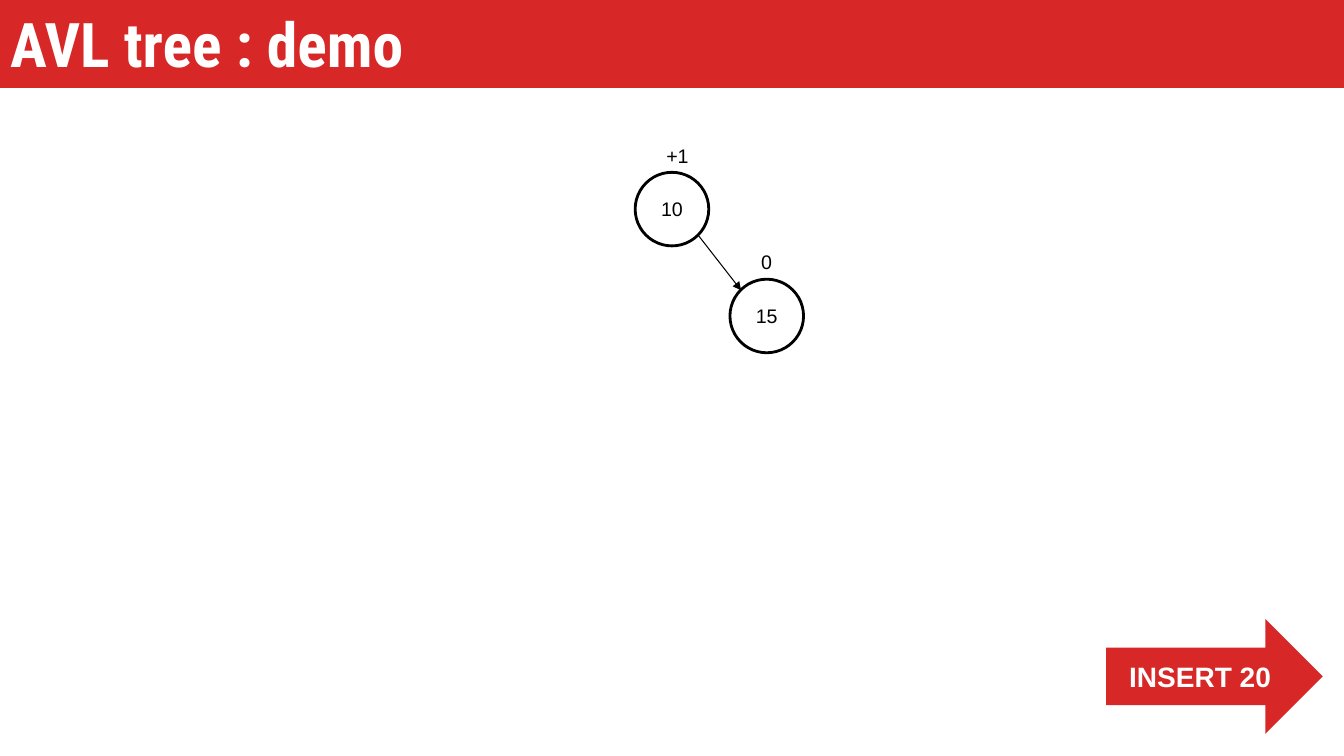
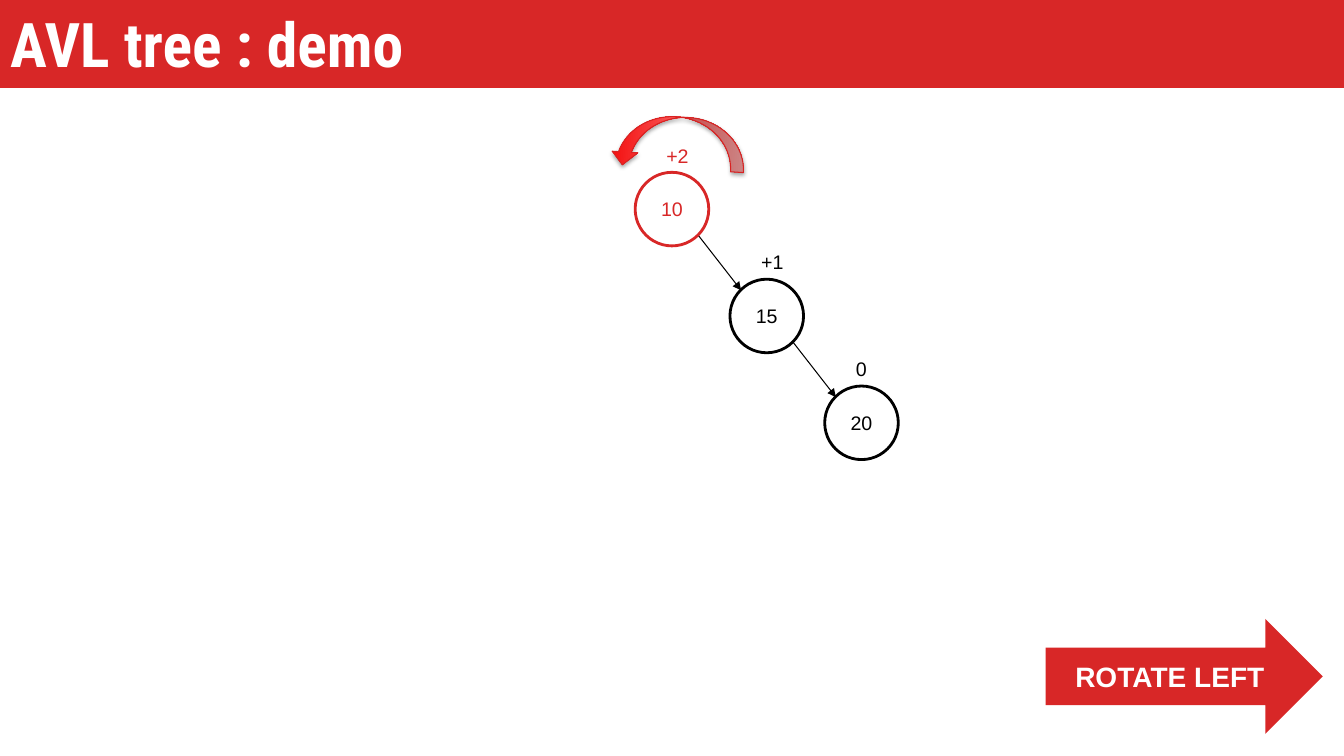
from pptx import Presentation
from pptx import util as u
from pptx.dml.color import RGBColor
from pptx.enum import shapes, text
from pptx.oxml import parse_xml
from pptx.oxml.ns import nsdecls, qn

Inches, Pt = u.Inches, u.Pt
SHAPE = shapes.MSO_SHAPE
HUES = {name: RGBColor.from_string(code) for name, code in {
    "red": "D82727", "black": "000000", "white": "FFFFFF",
    "rim": "D82222", "deep": "F30C0C", "pale": "FFABAB"}.items()}

# Tree grid: each node sits one step right of and below its parent
LEFT, TOP, SIZE = 6.3, 1.71, 0.73
STEP_X, STEP_Y = 0.94, 1.06
NEAR, FAR = 0.11, 0.63
RIGHT = 13.12

# Per slide: nodes as (key, balance, colour), next action, arrow width
STEPS = [
    ([("10", "+1", "black"), ("15", "0", "black")], "INSERT 20", 2.15),
    ([("10", "+2", "red"), ("15", "+1", "black"), ("20", "0", "black")],
     "ROTATE LEFT", 2.75),
]


def write(shape, words, size, hue, face="Arial", bold=False, align="CENTER"):
    frame = shape.text_frame
    frame.text = words
    frame.vertical_anchor = text.MSO_ANCHOR.MIDDLE
    para = frame.paragraphs[0]
    para.alignment = getattr(text.PP_ALIGN, align)
    font = para.runs[0].font
    font.name, font.size, font.bold = face, Pt(size), bold
    font.color.rgb = HUES[hue]


def paint(shape, fill, line=None, width=2):
    shape.fill.solid()
    shape.fill.fore_color.rgb = HUES[fill]
    if line:
        shape.line.color.rgb = HUES[line]
        shape.line.width = Pt(width)
    else:
        shape.line.fill.background()


deck = Presentation()
deck.slide_width, deck.slide_height = Inches(13.33), Inches(7.5)

for nodes, action, wide in STEPS:
    slide = deck.slides.add_slide(deck.slide_layouts[5])
    parts = slide.shapes

    # Title band
    title = parts.title
    title.left, title.top = Inches(0), Inches(0)
    title.width, title.height = deck.slide_width, Inches(0.86)
    paint(title, "red", "red")
    write(title, "AVL tree : demo", 44, "white", "Roboto Condensed", True, "LEFT")
    title.text_frame.auto_size = text.MSO_AUTO_SIZE.NONE

    # Next action
    arrow = parts.add_shape(SHAPE.RIGHT_ARROW, Inches(RIGHT - wide),
                            Inches(6.14), Inches(wide), Inches(1.14))
    arrow.shadow.inherit = False
    paint(arrow, "red")
    write(arrow, action, 20, "white", bold=True)

    # Nodes with balance factors
    for i, (key, factor, hue) in enumerate(nodes):
        x, y = LEFT + i * STEP_X, TOP + i * STEP_Y
        node = parts.add_shape(SHAPE.OVAL, Inches(x), Inches(y),
                               Inches(SIZE), Inches(SIZE))
        node.shadow.inherit = False
        paint(node, "white", hue)
        write(node, key, 14, hue)

        label = parts.add_textbox(Inches(x + 0.21), Inches(y - 0.34),
                                  Inches(0.2 + 0.11 * len(factor)), Inches(0.34))
        write(label, factor, 14, hue, align="LEFT")
        label.text_frame.word_wrap = False

        # Edge from the parent
        if i:
            edge = parts.add_connector(
                shapes.MSO_CONNECTOR.STRAIGHT,
                Inches(x - STEP_X + FAR), Inches(y - STEP_Y + FAR),
                Inches(x + NEAR), Inches(y + NEAR))
            edge.line.color.rgb = HUES["black"]
            edge.line.width = Pt(0.75)
            edge.line._get_or_add_ln().append(
                parse_xml(f'<a:tailEnd {nsdecls("a")} type="triangle"/>'))
            edge._element.spPr.append(parse_xml(f'<a:effectLst {nsdecls("a")}/>'))

    # Rotation arrow over the unbalanced root
    if nodes[0][2] == "red":
        turn = parts.add_shape(SHAPE.CURVED_RIGHT_ARROW, Inches(6.47),
                               Inches(0.75), Inches(0.51), Inches(1.33))
        turn.rotation = 93.7
        turn.fill.gradient()
        turn.fill.gradient_angle = 90
        for stop, hue, place in zip(turn.fill.gradient_stops, ("deep", "pale"), (0, 1)):
            stop.color.rgb = HUES[hue]
            stop.position = place
        turn.line.color.rgb = HUES["rim"]
        turn.line.width = Pt(0.75)
        turn.shadow.inherit = False
        turn._element.spPr.find(qn("a:effectLst")).append(parse_xml(
            f'<a:outerShdw {nsdecls("a")} blurRad="{Pt(3.1)}" dist="{Pt(1.8)}" '
            f'dir="5400000" rotWithShape="0"><a:srgbClr val="{HUES["black"]}">'
            '<a:alpha val="35000"/></a:srgbClr></a:outerShdw>'))

deck.save("out.pptx")
